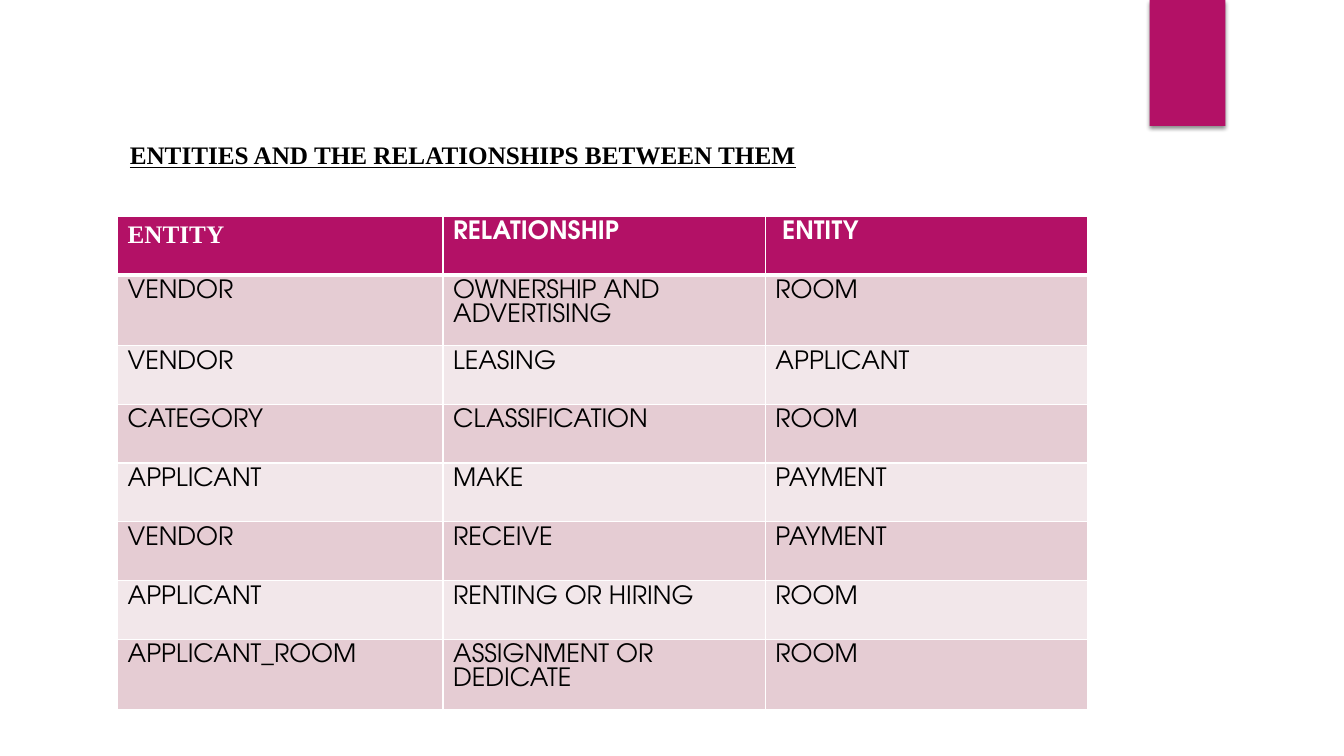
from lxml.etree import SubElement
from pptx import Presentation
from pptx.dml.color import RGBColor
from pptx.enum.shapes import MSO_SHAPE
from pptx.enum.text import MSO_ANCHOR, PP_ALIGN
from pptx.oxml.ns import qn
from pptx.util import Pt

PX = 9525
COLORS = {"accent": "B31166", "dark": "E5CCD3", "light": "F2E7EA",
          "text": "000000", "white": "FFFFFF"}
SERIF = "Times New Roman"
SANS = "TeX Gyre Adventor"
COLUMNS = [310, 307, 307]
ROW, TALL_ROW = 56, 67
HEADER = ["ENTITY", "RELATIONSHIP", "ENTITY"]
RELATIONS = [
    ("VENDOR", "OWNERSHIP AND ADVERTISING", "ROOM"),
    ("VENDOR", "LEASING", "APPLICANT"),
    ("CATEGORY", "CLASSIFICATION", "ROOM"),
    ("APPLICANT", "MAKE", "PAYMENT"),
    ("VENDOR", "RECEIVE", "PAYMENT"),
    ("APPLICANT", "RENTING OR HIRING", "ROOM"),
    ("APPLICANT_ROOM", "ASSIGNMENT OR DEDICATE", "ROOM"),
]
TALL = {1, 7}


def px(n):
    return n * PX


def rgb(name):
    return RGBColor.from_string(COLORS[name])


def set_font(p, name, color, bold=False):
    p.font.name = name
    p.font.size = Pt(18)
    p.font.bold = bold
    p.font.color.rgb = rgb(color)


def add_shadow(sp):
    effects = SubElement(sp._element.spPr, qn("a:effectLst"))
    shadow = SubElement(effects, qn("a:outerShdw"), blurRad=str(Pt(3)),
                        dist=str(Pt(2)), dir="5400000", rotWithShape="0")
    color = SubElement(shadow, qn("a:srgbClr"), val=COLORS["text"])
    SubElement(color, qn("a:alpha"), val="45000")


def add_banner(s):
    sp = s.shapes.add_shape(MSO_SHAPE.RECTANGLE, px(1095), 0, px(72), px(120))
    sp.fill.solid()
    sp.fill.fore_color.rgb = rgb("accent")
    sp.line.fill.background()
    add_shadow(sp)


def set_title(s, text):
    sp = s.shapes.title
    sp.left, sp.top, sp.width, sp.height = px(114), px(126), px(961), px(81)
    tf = sp.text_frame
    tf.text = text
    tf.word_wrap = True
    tf.vertical_anchor = MSO_ANCHOR.TOP
    p = tf.paragraphs[0]
    p.alignment = PP_ALIGN.LEFT
    p.line_spacing = 1.07
    p.space_after = Pt(8)
    set_font(p, SERIF, "text", bold=True)
    p.font.underline = True


def set_borders(cell, bottom):
    tcPr = cell._tc.get_or_add_tcPr()
    for side, width in (("L", 1), ("R", 1), ("T", 1), ("B", bottom)):
        ln = SubElement(tcPr, qn(f"a:ln{side}"), w=str(Pt(width)))
        fill = SubElement(ln, qn("a:solidFill"))
        SubElement(fill, qn("a:srgbClr"), val=COLORS["white"])


def fill_cell(cell, text, fill, color, font=SANS, header=False):
    set_borders(cell, 3 if header else 1)
    cell.fill.solid()
    cell.fill.fore_color.rgb = rgb(fill)
    cell.text = text
    p = cell.text_frame.paragraphs[0]
    p.space_after = Pt(8)
    set_font(p, font, color, bold=header)


def add_relations(s):
    heights = [TALL_ROW if i in TALL else ROW for i in range(len(RELATIONS) + 1)]
    table = s.shapes.add_table(len(heights), len(COLUMNS), px(112), px(206),
                               px(sum(COLUMNS)), px(sum(heights))).table
    table.horz_banding = False
    for column, width in zip(table.columns, COLUMNS):
        column.width = px(width)
    for row, height in zip(table.rows, heights):
        row.height = px(height)
    for c, text in enumerate(HEADER):
        font = SANS if c else SERIF
        fill_cell(table.cell(0, c), text, "accent", "white", font, header=True)
    table.cell(0, 2).margin_left = px(16)
    for r, relation in enumerate(RELATIONS, 1):
        for c, text in enumerate(relation):
            fill_cell(table.cell(r, c), text, "dark" if r % 2 else "light", "text")


def main():
    """Build the slide of entities and their relationships."""
    prs = Presentation()
    prs.slide_width, prs.slide_height = px(1280), px(720)
    s = prs.slides.add_slide(prs.slide_layouts[5])
    add_banner(s)
    set_title(s, "ENTITIES AND THE RELATIONSHIPS BETWEEN THEM")
    add_relations(s)
    prs.save("out.pptx")


if __name__ == "__main__":
    main()
